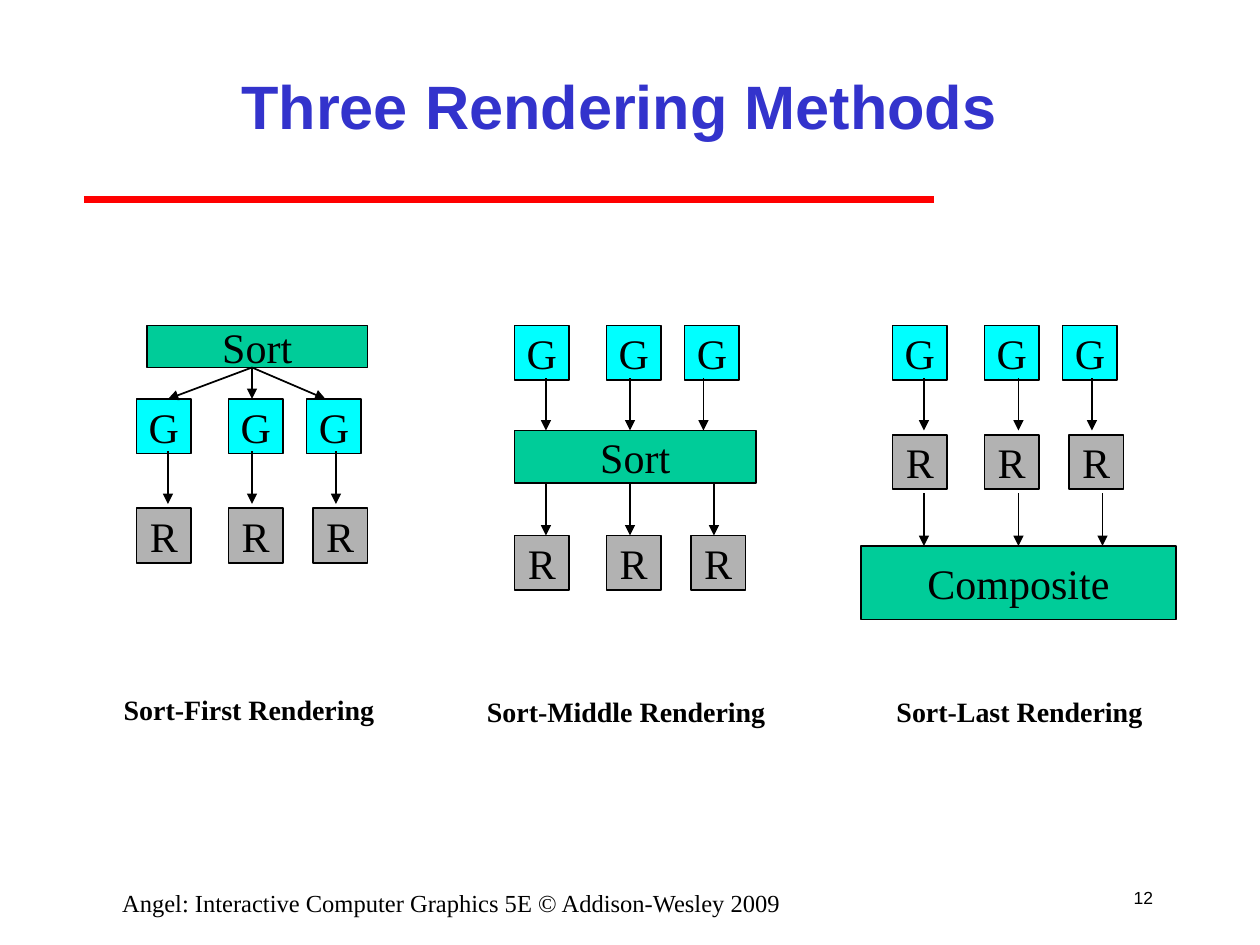
from lxml import etree
from pptx import Presentation
from pptx.dml.color import RGBColor
from pptx.enum.shapes import MSO_CONNECTOR, MSO_SHAPE
from pptx.enum.text import MSO_ANCHOR, PP_ALIGN
from pptx.oxml.ns import qn
from pptx.util import Inches, Pt

RECT = MSO_SHAPE.RECTANGLE
STRAIGHT = MSO_CONNECTOR.STRAIGHT
LEFT, CENTER, RIGHT = PP_ALIGN.LEFT, PP_ALIGN.CENTER, PP_ALIGN.RIGHT
TOP, MIDDLE = MSO_ANCHOR.TOP, MSO_ANCHOR.MIDDLE

COLORS = {
    "ink": "000000",
    "title": "3333CC",
    "rule": "FF0000",
    "geometry": "00FFFF",
    "raster": "B2B2B2",
    "stage": "00CC99",
}
SANS, SERIF = "Arial", "Times New Roman"

# The grid has 12 columns and 12 rows to the inch
CELL = 12
SIDE = 5.2
G_OFFSETS = (0, 8.75, 16.2)
R_OFFSETS = (0, 8.75, 16.8)


def grid(n):
    return Inches(n / CELL)


def color(name):
    return RGBColor.from_string(COLORS[name])


class Canvas:
    def __init__(self, slide):
        self.s = slide

    def label(self, shape, text, size, font=SERIF, ink="ink", bold=False,
              align=CENTER, anchor=MIDDLE, wrap=True):
        tf = shape.text_frame
        tf.text = text
        tf.word_wrap = wrap
        tf.vertical_anchor = anchor
        p = tf.paragraphs[0]
        p.alignment = align
        r = p.runs[0]
        r.font.size, r.font.name, r.font.bold = Pt(size), font, bold
        r.font.color.rgb = color(ink)

    def text(self, x, y, w, h, text, size, **style):
        sp = self.s.shapes.add_textbox(grid(x), grid(y), grid(w), grid(h))
        self.label(sp, text, size, **style)

    def box(self, x, y, w, h, text, fill):
        sp = self.s.shapes.add_shape(RECT, grid(x), grid(y), grid(w), grid(h))
        sp.shadow.inherit = False
        sp.fill.solid()
        sp.fill.fore_color.rgb = color(fill)
        sp.line.color.rgb = color("ink")
        sp.line.width = Pt(1)
        self.label(sp, text, 24, wrap=False)
        return sp

    def processors(self, x, y, letter):
        """A row of three geometry (G) or raster (R) processors."""
        offsets, fill = ((G_OFFSETS, "geometry") if letter == "G"
                         else (R_OFFSETS, "raster"))
        for dx in offsets:
            self.box(x + dx, y, SIDE, SIDE, letter, fill)

    def line(self, x1, y1, x2, y2, ink="ink", width=1):
        c = self.s.shapes.add_connector(STRAIGHT, grid(x1), grid(y1), grid(x2), grid(y2))
        c.line.color.rgb = color(ink)
        c.line.width = Pt(width)
        etree.SubElement(c._element.spPr, qn("a:effectLst"))
        return c

    def arrow(self, x1, y1, x2, y2):
        c = self.line(x1, y1, x2, y2)
        ln = c._element.spPr.find(qn("a:ln"))
        etree.SubElement(ln, qn("a:tailEnd"), type="triangle")
        return c

    def drops(self, xs, y):
        """Vertical arrows, five rows long."""
        return [self.arrow(x, y, x, y + 5) for x in xs]


def main():
    prs = Presentation()
    prs.slide_width, prs.slide_height = Inches(10), Inches(7.5)
    c = Canvas(prs.slides.add_slide(prs.slide_layouts[6]))

    # Title, rule and footer
    c.line(8, 19, 89, 19, "rule", 4)
    c.text(18, 3, 82, 14, "Three Rendering Methods", 35,
           font=SANS, ink="title", bold=True)
    c.text(6, 84, 74, 3,
           "Angel: Interactive Computer Graphics 5E © Addison-Wesley 2009",
           14, anchor=TOP)
    c.text(106, 83, 5, 5, "12", 10, font=SANS, align=RIGHT, wrap=False)

    # Captions
    for x, y, w, name in ((10.6, 65.4, 28.9, "First"),
                          (45.2, 65.6, 31, "Middle"),
                          (84.2, 65.6, 28.9, "Last")):
        c.text(x, y, w, 4.4, f"Sort-{name} Rendering", 16,
               bold=True, align=LEFT, anchor=TOP)

    # Sort-first: sort, geometry, raster
    c.processors(13, 38, "G")
    c.processors(13, 48.4, "R")
    c.drops((16, 24, 32), 43)
    c.box(14, 31, 21, 4, "Sort", "stage")
    for x in (16, 24, 31):
        c.arrow(24, 35, x, 38)

    # Sort-middle: geometry, sort, raster
    c.processors(49, 31, "G")
    c.processors(49, 51, "R")
    c.box(49, 41, 23, 5, "Sort", "stage")
    c.drops((52, 60, 67), 36)
    c.drops((52, 60, 68), 46)

    # Sort-last: geometry, raster, composite
    c.processors(85, 31, "G")
    c.processors(85, 41.4, "R")
    composite = c.box(82, 52, 30, 7, "Composite", "stage")
    c.drops((88, 97, 104), 36)
    to_composite = c.drops((88, 97, 105), 47)
    to_composite[1].end_connect(composite, 0)

    prs.save("out.pptx")


if __name__ == "__main__":
    main()
